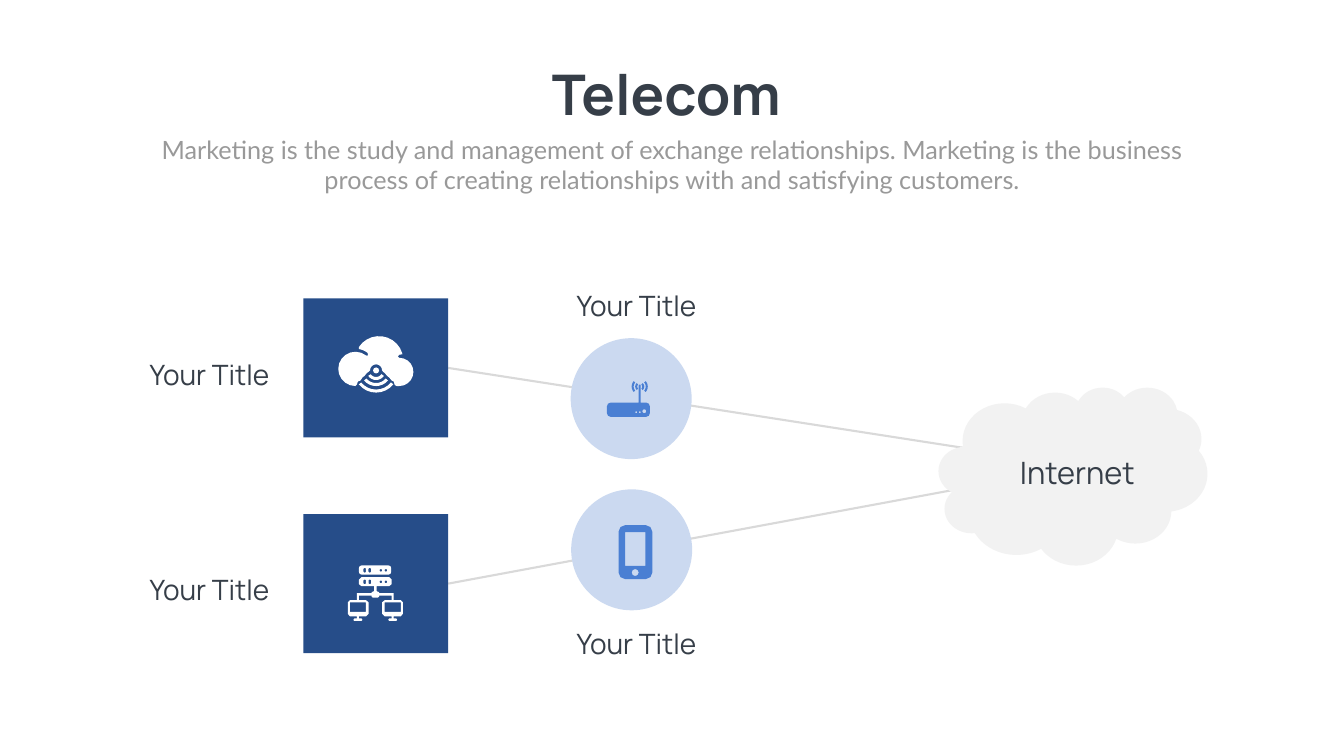
from math import cos, radians, sin

from lxml.etree import SubElement
from pptx import Presentation
from pptx.dml.color import RGBColor
from pptx.enum.shapes import MSO_CONNECTOR, MSO_SHAPE as Kind
from pptx.enum.text import MSO_ANCHOR, MSO_AUTO_SIZE, PP_ALIGN
from pptx.oxml.ns import qn
from pptx.util import Inches, Pt

THEME = {
    "navy": RGBColor.from_string("264D89"),
    "blue": RGBColor.from_string("4A7FD3"),
    "pale": RGBColor.from_string("CBD9F0"),
    "white": RGBColor.from_string("FFFFFF"),
    "cloud": RGBColor.from_string("F2F2F2"),
    "link": RGBColor.from_string("D9D9D9"),
    "ink": RGBColor.from_string("363E48"),
    "grey": RGBColor.from_string("999999"),
    "title": {"name": "Manrope", "size": Pt(80), "bold": True},
    "intro": {"name": "Lato", "size": Pt(36)},
    "label": {"name": "Manrope", "size": Pt(40)},
    "internet": {"name": "Manrope", "size": Pt(44)},
}

deck = Presentation()
deck.slide_width, deck.slide_height = Inches(26.66), Inches(15)
page = deck.slides.add_slide(deck.slide_layouts[6])


def arc(x, y, radius, first, last, steps=8):
    angles = [radians(first + (last - first) * step / steps) for step in range(steps + 1)]
    return [(x + radius * cos(angle), y + radius * sin(angle)) for angle in angles]


def add_icon(color, loops=(), boxes=()):
    contours = list(loops)
    for left, top, width, height, radius in boxes:
        right, bottom = left + width - radius, top + height - radius
        corners = ((right, bottom), (left + radius, bottom),
                   (left + radius, top + radius), (right, top + radius))
        contours.append([point for turn, (x, y) in enumerate(corners)
                         for point in arc(x, y, radius, 90 * turn, 90 * turn + 90, 2)])
    contours = [[(Inches(x), Inches(y)) for x, y in contour] for contour in contours]
    builder = page.shapes.build_freeform(*contours[0][0])
    builder.add_line_segments(contours[0][1:], close=True)
    for contour in contours[1:]:
        builder.move_to(*contour[0])
        builder.add_line_segments(contour[1:], close=True)
    icon = builder.convert_to_shape()
    icon.shadow.inherit = False
    icon.fill.solid()
    icon.fill.fore_color.rgb = THEME[color]
    icon.line.fill.background()


for start, end in (((8.89, 7.3), (21.39, 9.24)), ((8.89, 11.58), (21.51, 9.24))):
    link = page.shapes.add_connector(MSO_CONNECTOR.STRAIGHT, *map(Inches, start + end))
    link.line.color.rgb = THEME["link"]
    link.line.width = Pt(3)
    SubElement(link._element.spPr, qn("a:effectLst"))

nodes = [
    (Kind.RECTANGLE, 6.02, 10.2, 2.87, 2.76, "navy"),
    (Kind.RECTANGLE, 6.02, 5.92, 2.87, 2.76, "navy"),
    (Kind.OVAL, 11.32, 6.71, 2.4, 2.4, "pale"),
    (Kind.OVAL, 11.33, 9.71, 2.4, 2.4, "pale"),
    (Kind.CLOUD, 18.62, 7.68, 5.33, 3.53, "cloud"),
]
for kind, left, top, width, height, color in nodes:
    node = page.shapes.add_shape(kind, *map(Inches, (left, top, width, height)))
    node.shadow.inherit = False
    node.fill.solid()
    node.fill.fore_color.rgb = THEME[color]
    node.line.fill.background()

upper_holes, lower_holes = [
    [(left, top + 0.05, 0.05, 0.09, 0.02) for left in (7.21, 7.31)]
    + [(left, top + 0.07, 0.05, 0.05, 0.02) for left in (7.53, 7.63)]
    for top in (11.22, 11.45)
]
add_icon("white", boxes=[(7.12, 11.22, 0.64, 0.18, 0.05), *upper_holes])
network_half = [
    (7.17, 11.45), (7.12, 11.5), (7.12, 11.59), (7.17, 11.63), (7.42, 11.63), (7.42, 11.73),
    (7.37, 11.75), (7.37, 11.77), (7.08, 11.77), (7.08, 11.91), (6.94, 11.91), (6.9, 11.95),
    (6.9, 12.18), (6.94, 12.23), (7.08, 12.23), (7.08, 12.27), (7.03, 12.27), (7.01, 12.3),
    (7.03, 12.32), (7.17, 12.32), (7.19, 12.3), (7.17, 12.27), (7.12, 12.27), (7.12, 12.23),
    (7.26, 12.23), (7.31, 12.18), (7.31, 11.95), (7.26, 11.91), (7.12, 11.91), (7.12, 11.82),
    (7.37, 11.82), (7.37, 11.84), (7.4, 11.86),
]
mirrored_half = [(14.89 - x, y) for x, y in reversed(network_half)]
screens = [(left, 11.95, 0.32, 0.19, 0) for left in (6.94, 7.63)]
add_icon("white", [network_half + mirrored_half], lower_holes + screens)

for inner, spread in ((0.38, 51), (0.25, 50), (0.13, 55)):
    add_icon("white", [arc(7.46, 7.35, inner + 0.06, 90 - spread, 90 + spread)
                       + arc(7.46, 7.35, inner, 90 + spread, 90 - spread)])
add_icon("white", [
    arc(7.05, 7.32, 0.34, 90, 308, 12)
    + [(7.29, 7.06), (7.3, 7.04)]
    + arc(7.05, 7.32, 0.4, 307, 280, 4)
    + arc(7.52, 7.15, 0.48, 213, 343, 10)
    + [(7.98, 7.03), (7.92, 7.04), (7.89, 7.07)]
    + arc(7.92, 7.38, 0.28, -90, 90, 10)
    + [(7.87, 7.66), (7.83, 7.64), (7.81, 7.57), (7.77, 7.55), (7.72, 7.49),
       (7.68, 7.46), (7.63, 7.4), (7.6, 7.38)]
    + arc(7.46, 7.35, 0.12, 0, -180)
    + [(7.31, 7.38), (7.28, 7.4), (7.23, 7.46), (7.19, 7.49), (7.15, 7.55),
       (7.1, 7.57), (7.08, 7.63)]
])
add_icon("white", [arc(7.46, 7.35, 0.06, 0, 360)])

for inner, outer, spread in ((0.05, 0.09, 50), (0.12, 0.16, 42)):
    for middle in (180, 0):
        first, last = middle - spread, middle + spread
        add_icon("blue", [arc(12.69, 7.67, outer, first, last, 6)
                          + arc(12.69, 7.67, inner, last, first, 6)])
router = (
    arc(12.11, 8.06, 0.07, 180, 270, 2) + [(12.67, 7.99)]
    + arc(12.69, 7.65, 0.02, 180, 360, 4) + [(12.71, 7.99)]
    + arc(12.82, 8.06, 0.07, 270, 360, 2) + arc(12.82, 8.2, 0.07, 0, 90, 2)
    + arc(12.11, 8.2, 0.07, 90, 180, 2)
)
lights = [arc(x, y, radius, 0, 360)
          for x, y, radius in ((12.62, 8.18, 0.02), (12.69, 8.18, 0.02), (12.78, 8.16, 0.04))]
add_icon("blue", [router, *lights])
add_icon("blue", [arc(12.6, 11.36, 0.07, 0, 360)],
         [(12.27, 10.42, 0.67, 1.07, 0.13), (12.4, 10.56, 0.4, 0.67, 0)])

intro = (
    "Marketing is the study and management of exchange relationships. "
    "Marketing is the business process of creating relationships with and satisfying customers."
)
texts = [
    ("Telecom ", 10.63, 1.12, 5.4, 1.45, "title", "ink"),
    (intro, 2.92, 2.61, 20.82, 1.31, "intro", "grey"),
    *(("Your Title", left, top, 2.79, 0.77, "label", "ink")
      for left, top in ((11.23, 12.38), (11.23, 5.67), (2.76, 11.31), (2.76, 7.05))),
    ("Internet", 20.06, 8.95, 2.62, 0.84, "internet", "ink"),
]
for words, left, top, width, height, style, color in texts:
    box = page.shapes.add_textbox(*map(Inches, (left, top, width, height)))
    frame_format = {
        "margin_left": 0, "margin_right": 0, "margin_top": 0, "margin_bottom": 0,
        "word_wrap": style == "intro",
        "auto_size": MSO_AUTO_SIZE.SHAPE_TO_FIT_TEXT,
        "vertical_anchor": MSO_ANCHOR.MIDDLE,
    }
    for name, value in frame_format.items():
        setattr(box.text_frame, name, value)
    para = box.text_frame.paragraphs[0]
    para.alignment = PP_ALIGN.CENTER
    span = para.add_run()
    span.text = words
    for name, value in THEME[style].items():
        setattr(span.font, name, value)
    span.font.color.rgb = THEME[color]

deck.save("out.pptx")
